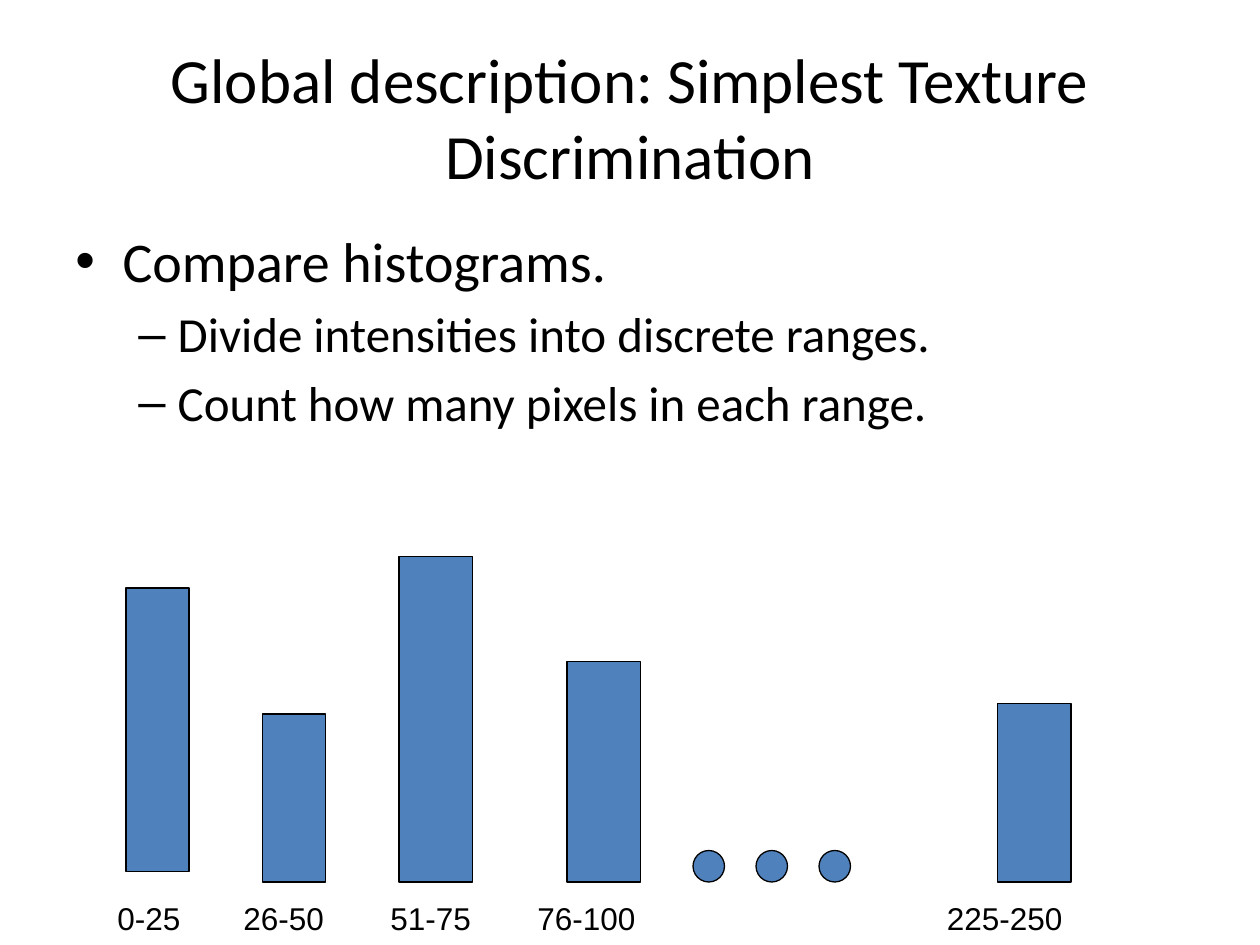
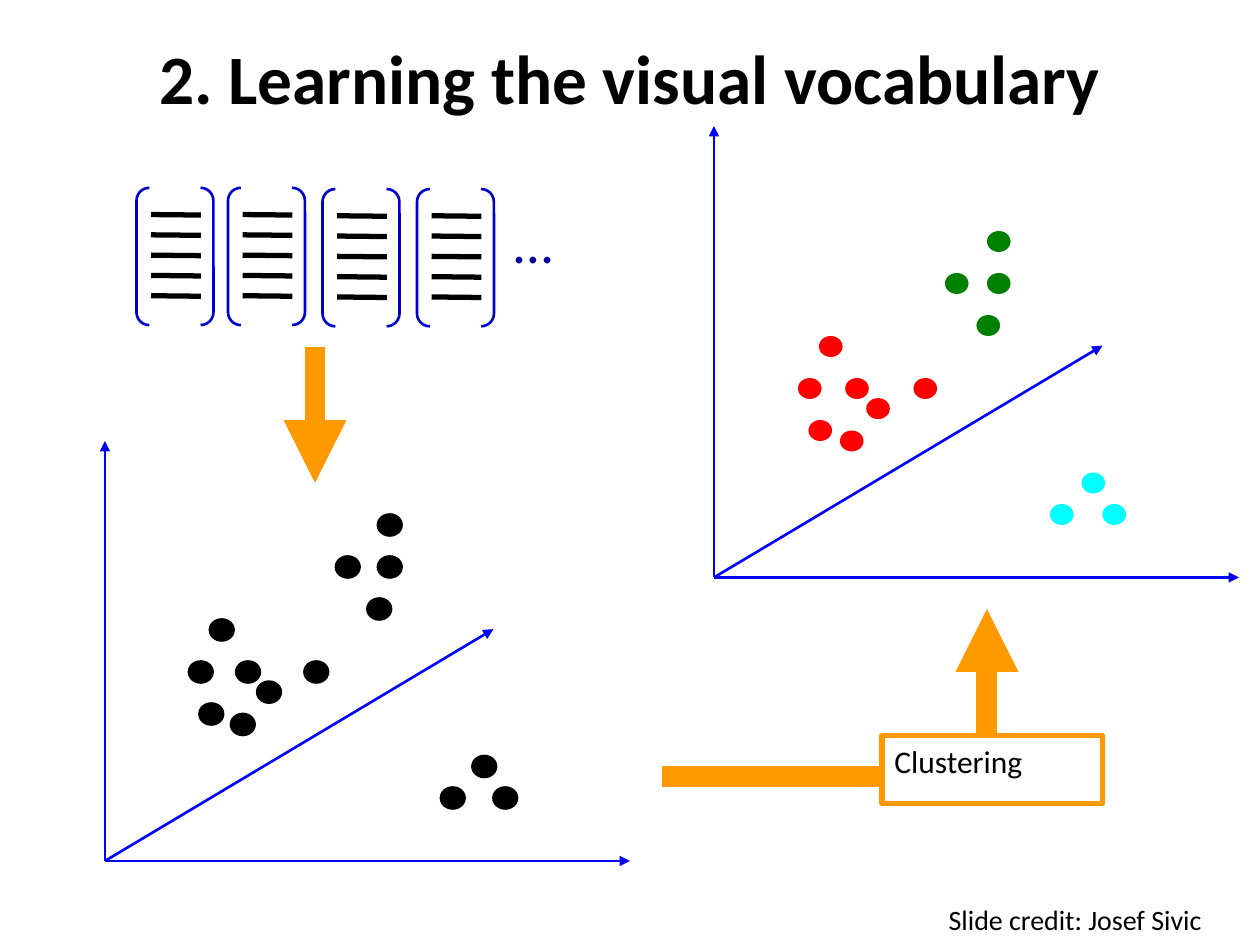
from dataclasses import dataclass

from lxml import etree
from pptx import Presentation
from pptx import util as u
from pptx.dml.color import RGBColor
from pptx.enum import shapes as kinds, text as txt
from pptx.oxml.ns import qn

Pt = u.Pt
BLACK, WHITE = "000000", "FFFFFF"
BAR_BLUE, AXIS_BLUE, BRACKET_BLUE, NAVY = "4F81BD", "0000FF", "0000CC", "000099"
ORANGE, RED, GREEN, CYAN = "FF9900", "FF0000", "008000", "00FFFF"
HEADING_FONT, LABEL_FONT = "Calibri", "Arial"
SHAPE = kinds.MSO_SHAPE


@dataclass(frozen=True)
class Box:
    left: float
    top: float
    width: float
    height: float


@dataclass(frozen=True)
class Style:
    size: float
    font: str = HEADING_FONT
    color: str = BLACK
    bold: bool = False


@dataclass(frozen=True)
class Bullet:
    text: str
    mark: str
    size: float
    margin: float
    hanging: float
    before: float = 0


@dataclass(frozen=True)
class Bar:
    left: float
    width: float
    height: float
    label: str
    label_left: float
    label_width: float
    bottom: float = 504


@dataclass(frozen=True)
class Descriptor:
    left: float
    top: float


@dataclass(frozen=True)
class Cluster:
    color: str
    points: tuple[tuple[float, float], ...]


BULLETS = (
    Bullet("Compare histograms.", "•", 32, 27, 27),
    Bullet("Divide intensities into discrete ranges.", "–", 28, 58.5, 22.5, 5.6),
    Bullet("Count how many pixels in each range.", "–", 28, 58.5, 22.5, 5.6),
)
BARS = (
    Bar(72, 36, 162, "0-25", 60, 66, bottom=498),
    Bar(150, 36, 96, "26-50", 132, 78),
    Bar(228, 42, 186, "51-75", 216, 78),
    Bar(324, 42, 126, "76-100", 300, 96),
    Bar(570, 42, 102, "225-250", 534, 138),
)
DESCRIPTORS = (Descriptor(78, 107.3), Descriptor(130.3, 107.3),
               Descriptor(184.3, 108), Descriptor(238.3, 108))
# Dot corners, measured right of and above the origin of a feature space
CLUSTERS = (
    Cluster(RED, ((75, 114), (87, 102.5), (48, 114), (72, 84),
                  (54, 90), (114, 114), (60, 138))),
    Cluster(GREEN, ((156, 198), (150, 150), (132, 174), (156, 174))),
    Cluster(CYAN, ((222, 42), (210, 60), (192, 42))),
)


def rgb(color: str) -> RGBColor:
    return RGBColor.from_string(color)


def add_run(paragraph, words: str, style: Style) -> None:
    run = paragraph.add_run()
    run.text = words
    run.font.size = Pt(style.size)
    run.font.name = style.font
    run.font.bold = style.bold
    run.font.color.rgb = rgb(style.color)


def add_text(slide, box: Box, words: str, style: Style,
             align=txt.PP_ALIGN.LEFT, anchor=txt.MSO_ANCHOR.TOP) -> None:
    frame = add_frame(slide, box)
    frame.vertical_anchor = anchor
    frame.paragraphs[0].alignment = align
    add_run(frame.paragraphs[0], words, style)


def add_frame(slide, box: Box):
    frame = slide.shapes.add_textbox(
        Pt(box.left), Pt(box.top), Pt(box.width), Pt(box.height)).text_frame
    frame.word_wrap = True
    return frame


def add_title(slide, box: Box, words: str, style: Style) -> None:
    add_text(slide, box, words, style, txt.PP_ALIGN.CENTER, txt.MSO_ANCHOR.MIDDLE)


def add_bullets(slide, box: Box, bullets: tuple[Bullet, ...]) -> None:
    frame = add_frame(slide, box)
    for index, bullet in enumerate(bullets):
        paragraph = frame.add_paragraph() if index else frame.paragraphs[0]
        paragraph.space_before = Pt(bullet.before)
        properties = paragraph._p.get_or_add_pPr()
        properties.set("marL", str(Pt(bullet.margin)))
        properties.set("indent", str(-Pt(bullet.hanging)))
        etree.SubElement(properties, qn("a:buFont"), typeface=LABEL_FONT)
        etree.SubElement(properties, qn("a:buChar"), char=bullet.mark)
        add_run(paragraph, bullet.text, Style(bullet.size))


def add_shape(slide, kind, box: Box, fill: str | None = None,
              line: str | None = None, weight: float = 0.75):
    shape = slide.shapes.add_shape(
        kind, Pt(box.left), Pt(box.top), Pt(box.width), Pt(box.height))
    shape.shadow.inherit = False
    if fill:
        shape.fill.solid()
        shape.fill.fore_color.rgb = rgb(fill)
    else:
        shape.fill.background()
    if line:
        shape.line.color.rgb = rgb(line)
        shape.line.width = Pt(weight)
    else:
        shape.line.fill.background()
    return shape


def add_line(slide, start: tuple[float, float], end: tuple[float, float],
             color: str, weight: float, arrow: bool = False) -> None:
    line = slide.shapes.add_connector(
        kinds.MSO_CONNECTOR.STRAIGHT, *(Pt(value) for value in (*start, *end)))
    line.line.color.rgb = rgb(color)
    line.line.width = Pt(weight)
    if arrow:
        etree.SubElement(line.line._get_or_add_ln(), qn("a:tailEnd"), type="triangle")
    etree.SubElement(line._element.spPr, qn("a:effectLst"))


def add_descriptor(slide, descriptor: Descriptor) -> None:
    left, top = descriptor.left, descriptor.top
    bracket = add_shape(slide, SHAPE.DOUBLE_BRACKET, Box(left, top, 44, 78.5),
                        line=BRACKET_BLUE, weight=1.5)
    bracket.adjustments[0] = 0.167
    for row in range(5):
        y = top + 15.3 + 11.6 * row
        add_line(slide, (left + 8.3, y), (left + 36.8, y + 0.3), BLACK, 3)


def add_feature_space(slide, x: float, y: float, height: float, colored: bool) -> None:
    for end in ((x, y - height), (x + 300, y), (x + 222, y - 132.5)):
        add_line(slide, (x, y), end, AXIS_BLUE, 1.5, arrow=True)
    for cluster in CLUSTERS:
        for right, up in cluster.points:
            add_shape(slide, SHAPE.OVAL, Box(x + right, y - up, 13.5, 12),
                      cluster.color if colored else BLACK,
                      None if colored else BLACK, 1.5)


def build_histogram_slide(slide) -> None:
    add_title(slide, Box(36, 21.6, 648, 90),
              "Global description: Simplest Texture Discrimination", Style(36))
    add_bullets(slide, Box(36, 126, 648, 356.4), BULLETS)

    # Histogram bars with their intensity ranges
    for bar in BARS:
        add_shape(slide, SHAPE.RECTANGLE,
                  Box(bar.left, bar.bottom - bar.height, bar.width, bar.height),
                  BAR_BLUE, BLACK)
        add_text(slide, Box(bar.label_left, 510, bar.label_width, 36),
                 bar.label, Style(18, LABEL_FONT))

    # Dots for the ranges left out
    for index in range(3):
        add_shape(slide, SHAPE.OVAL, Box(396 + 36 * index, 486, 18, 18), BAR_BLUE, BLACK)


def build_vocabulary_slide(slide) -> None:
    add_title(slide, Box(0, 21.6, 720, 44.6),
              "2. Learning the visual vocabulary", Style(39.6, bold=True))

    # Descriptors
    for descriptor in DESCRIPTORS:
        add_descriptor(slide, descriptor)
    add_text(slide, Box(286.6, 115.2, 46.8, 45.4), "…", Style(32, color=NAVY))

    # Feature space before and after clustering
    add_feature_space(slide, 60, 492, 240, colored=False)
    add_feature_space(slide, 408, 330, 258, colored=True)

    # Flow from descriptors to clusters
    add_line(slide, (180, 198), (180, 276), ORANGE, 12, arrow=True)
    add_line(slide, (378, 444), (540, 444), ORANGE, 12)
    add_line(slide, (564, 444), (564, 348), ORANGE, 12, arrow=True)
    step = Box(504, 420.3, 126, 39)
    add_shape(slide, SHAPE.RECTANGLE, step, WHITE, ORANGE, 3)
    add_text(slide, step, "Clustering", Style(18))

    add_text(slide, Box(535, 512, 178.6, 26.6), "Slide credit: Josef Sivic", Style(16))


def main() -> None:
    deck = Presentation()
    deck.slide_width, deck.slide_height = Pt(720), Pt(540)
    for build in (build_histogram_slide, build_vocabulary_slide):
        build(deck.slides.add_slide(deck.slide_layouts[6]))
    deck.save("out.pptx")


if __name__ == "__main__":
    main()
